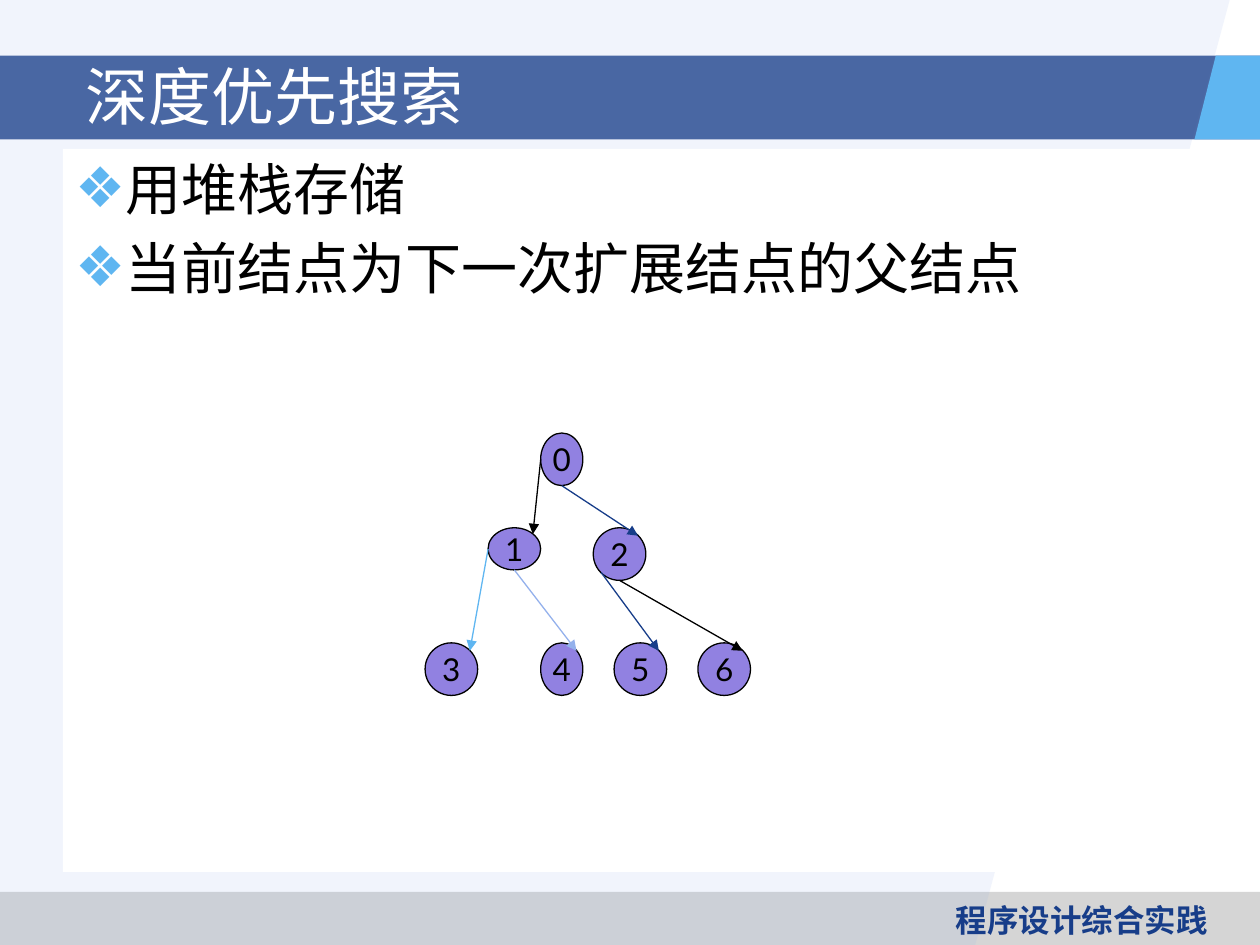
from lxml.etree import SubElement
from pptx import Presentation
from pptx.dml.color import RGBColor
from pptx.enum.shapes import MSO_CONNECTOR, MSO_SHAPE
from pptx.enum.text import MSO_ANCHOR as Anchor, PP_ALIGN as Align
from pptx.oxml.ns import qn
from pptx.util import Cm, Pt

NAVY = RGBColor(0x17, 0x3D, 0x89)
SKY = RGBColor(0x5F, 0xB6, 0xF1)
PALE_BLUE = RGBColor(0x94, 0xB1, 0xEC)
VIOLET = RGBColor(0x91, 0x81, 0xE1)
GRAY = RGBColor(0x96, 0x96, 0x96)
BLACK = RGBColor(0, 0, 0)
WHITE = RGBColor(0xFF, 0xFF, 0xFF)

WIDTH, HEIGHT = 25.4, 19.05
LATIN, CHINESE, FOOTER_FONT = "Lato", "Noto Sans CJK SC", "DejaVu Sans"

# Node label: left, top, width, height within the tree, in cm
NODES = {
    "0": (2.33, 0, 0.85, 1.06),
    "1": (1.27, 1.91, 1.06, 0.85),
    "2": (3.39, 1.91, 1.06, 1.06),
    "3": (0, 4.23, 1.06, 1.06),
    "4": (2.33, 4.23, 0.85, 1.06),
    "5": (3.81, 4.23, 1.06, 1.06),
    "6": (5.5, 4.23, 1.06, 1.06),
}
# Parent, side it leaves from, child, colour
EDGES = [
    ("1", "left", "3", SKY),
    ("0", "left", "1", BLACK),
    ("1", "bottom", "4", PALE_BLUE),
    ("0", "bottom", "2", NAVY),
    ("2", "bottom left", "5", NAVY),
    ("2", "bottom", "6", BLACK),
]
# Points on an ellipse as fractions of its width and height
SIDES = {
    "left": (0, 0.5),
    "bottom": (0.5, 1),
    "bottom left": (0.15, 0.85),
    "top right": (0.85, 0.15),
}


def paint(shape, color, opacity=100):
    shape.shadow.inherit = False
    shape.line.fill.background()
    shape.fill.solid()
    shape.fill.fore_color.rgb = color
    if opacity < 100:
        fill = shape.fill._xPr.find(qn("a:solidFill"))
        SubElement(fill[0], qn("a:alpha"), val=str(opacity * 1000))


def add_box(slide, kind, left, top, width, height):
    return slide.shapes.add_shape(kind, Cm(left), Cm(top), Cm(width), Cm(height))


def add_polygon(slide, points, color, opacity=100):
    corners = [(Cm(x), Cm(y)) for x, y in points]
    builder = slide.shapes.build_freeform(*corners[0])
    builder.add_line_segments(corners[1:], close=True)
    paint(builder.convert_to_shape(), color, opacity)


def format_text(paragraph, font_name, size, color, bold=False):
    for run in paragraph.runs:
        run.font.name = font_name
        run.font.size = Pt(size)
        run.font.color.rgb = color
        run.font.bold = bold
        SubElement(run.font._element, qn("a:ea"), typeface=CHINESE)


def add_background(slide):
    footer_band = add_box(slide, MSO_SHAPE.RECTANGLE, 0, 17.98, WIDTH, 1.07)
    paint(footer_band, GRAY, 40)
    add_polygon(slide, [(0, 0), (24.79, 0), (19.66, HEIGHT), (0, HEIGHT)], PALE_BLUE, 13)


def add_title(slide, top, height, text):
    # Band with a slanted end
    paint(add_box(slide, MSO_SHAPE.RECTANGLE, 0, top, WIDTH, height), NAVY, 77)
    bottom = top + height
    add_polygon(slide, [(24.51, top), (24.08, bottom), (WIDTH, bottom), (WIDTH, top)], SKY)
    # Title
    title = slide.shapes.add_textbox(Cm(1.47), Cm(top + 0.02), Cm(22.86), Cm(1.57))
    frame = title.text_frame
    frame.word_wrap = True
    frame.vertical_anchor = Anchor.MIDDLE
    frame.text = text
    format_text(frame.paragraphs[0], LATIN, 36, WHITE)


def add_footer(slide, left, top, width, height, text):
    footer = slide.shapes.add_textbox(Cm(left), Cm(top), Cm(width), Cm(height))
    frame = footer.text_frame
    frame.word_wrap = True
    frame.text = text
    frame.paragraphs[0].alignment = Align.CENTER
    format_text(frame.paragraphs[0], FOOTER_FONT, 18, NAVY, bold=True)


def add_bullets(slide, left, top, width, height, lines):
    body = add_box(slide, MSO_SHAPE.RECTANGLE, left, top, width, height)
    paint(body, WHITE)
    frame = body.text_frame
    frame.vertical_anchor = Anchor.TOP
    frame.text = "\n".join(lines)
    for paragraph in frame.paragraphs:
        paragraph.alignment = Align.LEFT
        paragraph.space_before = Pt(6.4)
        format_text(paragraph, CHINESE, 32, BLACK)
        properties = paragraph._p.get_or_add_pPr()
        indent = Cm(0.95)
        properties.set("marL", str(indent))
        properties.set("indent", str(-indent))
        bullet_color = SubElement(properties, qn("a:buClr"))
        SubElement(bullet_color, qn("a:srgbClr"), val=str(SKY))
        SubElement(properties, qn("a:buFont"), typeface=FOOTER_FONT)
        SubElement(properties, qn("a:buChar"), char="❖")


def add_node(slide, left, top, width, height, label):
    node = add_box(slide, MSO_SHAPE.OVAL, left, top, width, height)
    paint(node, VIOLET)
    node.line.color.rgb = BLACK
    node.line.width = Pt(0.75)
    frame = node.text_frame
    frame.word_wrap = False
    frame.vertical_anchor = Anchor.MIDDLE
    frame.text = label
    frame.paragraphs[0].alignment = Align.CENTER
    format_text(frame.paragraphs[0], LATIN, 18, BLACK)


def add_arrow(slide, start, end, color):
    ends = [Cm(value) for value in (*start, *end)]
    arrow = slide.shapes.add_connector(MSO_CONNECTOR.STRAIGHT, *ends)
    arrow.line.color.rgb = color
    arrow.line.width = Pt(0.75)
    SubElement(arrow.line._get_or_add_ln(), qn("a:tailEnd"), type="triangle")
    SubElement(arrow._element.spPr, qn("a:effectLst"))


def add_tree(slide, left, top):
    def point(label, side):
        x, y, width, height = NODES[label]
        across, down = SIDES[side]
        return left + x + across * width, top + y + down * height

    for label, (x, y, width, height) in NODES.items():
        add_node(slide, left + x, top + y, width, height, label)
    for parent, side, child, color in EDGES:
        add_arrow(slide, point(parent, side), point(child, "top right"), color)


def main():
    presentation = Presentation()
    presentation.slide_width = Cm(WIDTH)
    presentation.slide_height = Cm(HEIGHT)
    slide = presentation.slides.add_slide(presentation.slide_layouts[6])
    add_background(slide)
    add_title(slide, 1.12, 1.69, "深度优先搜索")
    add_footer(slide, 18.42, 18.03, 6.78, 1.02, "程序设计综合实践")
    add_bullets(slide, 1.27, 3, 22.94, 14.58,
                ["用堆栈存储", "当前结点为下一次扩展结点的父结点"])
    add_tree(slide, 8.57, 8.73)
    presentation.save("out.pptx")


if __name__ == "__main__":
    main()
